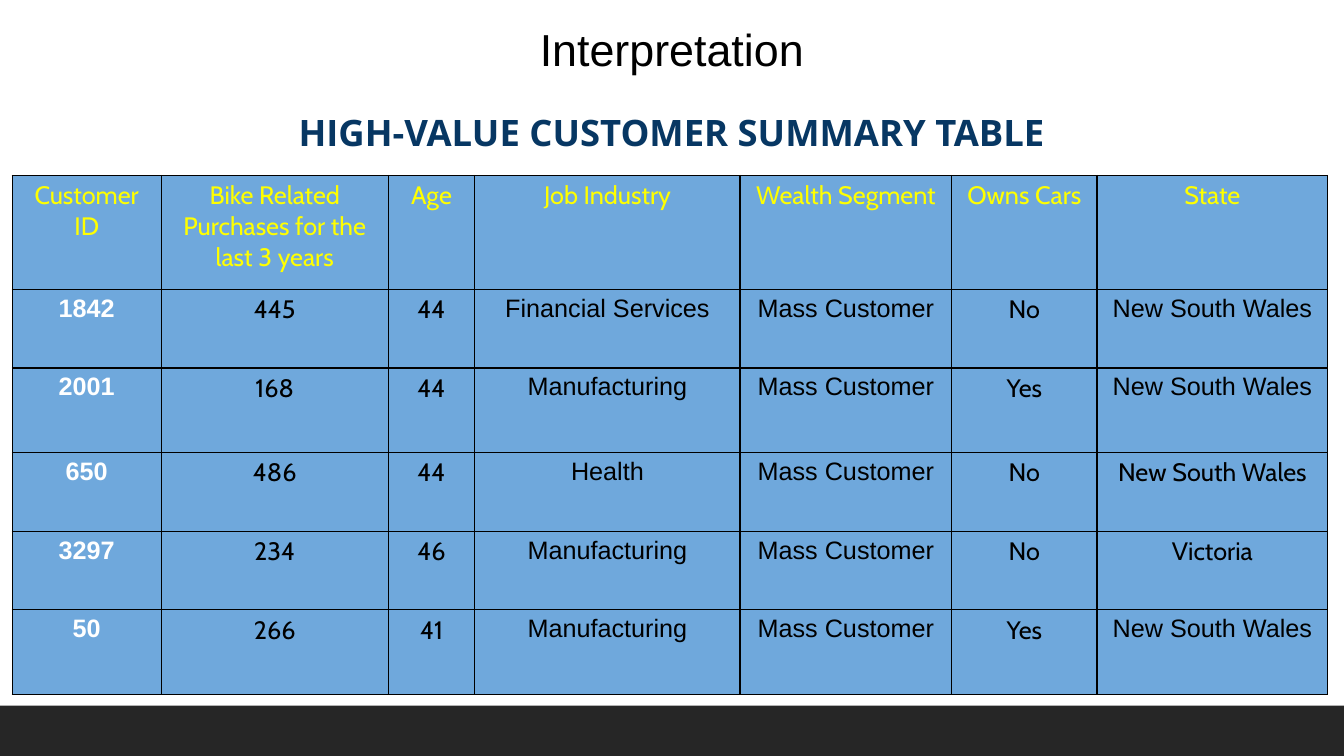
import pptx
import pptx.util
import pptx.dml.color
import pptx.enum.shapes
import pptx.enum.text
import pptx.oxml

Inches = pptx.util.Inches
RGBColor = pptx.dml.color.RGBColor
Anchor = pptx.enum.text.MSO_ANCHOR

BLACK = RGBColor(0x00, 0x00, 0x00)
WHITE = RGBColor(0xFF, 0xFF, 0xFF)
NAVY = RGBColor(0x07, 0x37, 0x63)
YELLOW = RGBColor(0xFF, 0xFF, 0x00)
CELL_BLUE = RGBColor(0x6F, 0xA8, 0xDC)
FOOTER_GREY = RGBColor(0x26, 0x26, 0x26)

SLIDE_WIDTH, SLIDE_HEIGHT = 13.33, 7.5
FOOTER_HEIGHT = SLIDE_HEIGHT / 15
HEADING_WIDTH = 9.37
HEADINGS = [
    ("Interpretation", 0.09, 0.79, 32, "Arial", BLACK, False, 1.0, Anchor.MIDDLE),
    ("HIGH-VALUE CUSTOMER SUMMARY TABLE", 0.93, 0.56, 26, "Open Sans", NAVY, True, 1.15, Anchor.TOP),
]

TABLE_LEFT, TABLE_TOP = 0.12, 1.74
COLUMN_WIDTHS = [1.48, 2.25, 0.86, 2.63, 2.1, 1.44, 2.29]
ROW_HEIGHTS = [1.13, 0.78, 0.84, 0.78, 0.78, 0.84]
CUSTOMERS = [
    ("Customer ID", "Bike Related Purchases for the last 3 years", "Age",
     "Job Industry", "Wealth Segment", "Owns Cars", "State"),
    ("1842", "445", "44", "Financial Services", "Mass Customer", "No", "New South Wales"),
    ("2001", "168", "44", "Manufacturing", "Mass Customer", "Yes", "New South Wales"),
    ("650", "486", "44", "Health", "Mass Customer", "No", "New South Wales"),
    ("3297", "234", "46", "Manufacturing", "Mass Customer", "No", "Victoria"),
    ("50", "266", "41", "Manufacturing", "Mass Customer", "Yes", "New South Wales"),
]
ARIAL_COLUMNS = {0, 3, 4, 6}
CABIN_STATE_CELLS = {(3, 6), (4, 6)}

BORDER = (
    '<a:{side} xmlns:a="http://schemas.openxmlformats.org/drawingml/2006/main" w="12700">'
    '<a:solidFill><a:srgbClr val="{color}"/></a:solidFill></a:{side}>'
)


def write_text(frame, text, size, font_name, color, bold, line_spacing=1.0):
    paragraph = frame.paragraphs[0]
    paragraph.alignment = pptx.enum.text.PP_ALIGN.CENTER
    paragraph.line_spacing = line_spacing
    run = paragraph.add_run()
    run.text = text
    run.font.size = pptx.util.Pt(size)
    run.font.name = font_name
    run.font.bold = bold
    run.font.color.rgb = color


def add_footer(slide):
    footer = slide.shapes.add_shape(
        pptx.enum.shapes.MSO_SHAPE.RECTANGLE, 0, Inches(SLIDE_HEIGHT - FOOTER_HEIGHT),
        Inches(SLIDE_WIDTH), Inches(FOOTER_HEIGHT))
    footer.shadow.inherit = False
    footer.fill.solid()
    footer.fill.fore_color.rgb = FOOTER_GREY
    footer.line.fill.background()


def add_heading(slide, text, top, height, size, font_name, color, bold, line_spacing, anchor):
    box = slide.shapes.add_textbox(
        Inches((SLIDE_WIDTH - HEADING_WIDTH) / 2), Inches(top),
        Inches(HEADING_WIDTH), Inches(height))
    frame = box.text_frame
    frame.word_wrap = True
    frame.vertical_anchor = anchor
    frame.margin_left = frame.margin_right = Inches(0.1)
    frame.margin_top = frame.margin_bottom = Inches(0.1)
    write_text(frame, text, size, font_name, color, bold, line_spacing)


def cell_style(row, column):
    if row == 0:
        return "Cabin", YELLOW, False
    is_arial = column in ARIAL_COLUMNS and (row, column) not in CABIN_STATE_CELLS
    is_id = column == 0
    return "Arial" if is_arial else "Cabin", WHITE if is_id else BLACK, is_id


def add_customer_table(slide):
    table = slide.shapes.add_table(
        len(ROW_HEIGHTS), len(COLUMN_WIDTHS), Inches(TABLE_LEFT), Inches(TABLE_TOP),
        Inches(sum(COLUMN_WIDTHS)), Inches(sum(ROW_HEIGHTS))).table
    table.first_row = table.horz_banding = False
    for column, width in zip(table.columns, COLUMN_WIDTHS):
        column.width = Inches(width)
    for row, height in zip(table.rows, ROW_HEIGHTS):
        row.height = Inches(height)
    for row, customer in enumerate(CUSTOMERS):
        for column, text in enumerate(customer):
            cell = table.cell(row, column)
            cell.margin_left = cell.margin_right = Inches(0.1)
            cell.margin_top = cell.margin_bottom = Inches(0.05)
            properties = cell._tc.get_or_add_tcPr()
            for side in ("lnL", "lnR", "lnT", "lnB"):
                properties.append(pptx.oxml.parse_xml(BORDER.format(side=side, color=BLACK)))
            cell.fill.solid()
            cell.fill.fore_color.rgb = CELL_BLUE
            write_text(cell.text_frame, text, 18, *cell_style(row, column))


def main():
    """Build the high-value customer summary slide."""
    presentation = pptx.Presentation()
    presentation.slide_width = Inches(SLIDE_WIDTH)
    presentation.slide_height = Inches(SLIDE_HEIGHT)
    slide = presentation.slides.add_slide(presentation.slide_layouts[6])
    add_footer(slide)
    for heading in HEADINGS:
        add_heading(slide, *heading)
    add_customer_table(slide)
    presentation.save("out.pptx")


if __name__ == "__main__":
    main()
